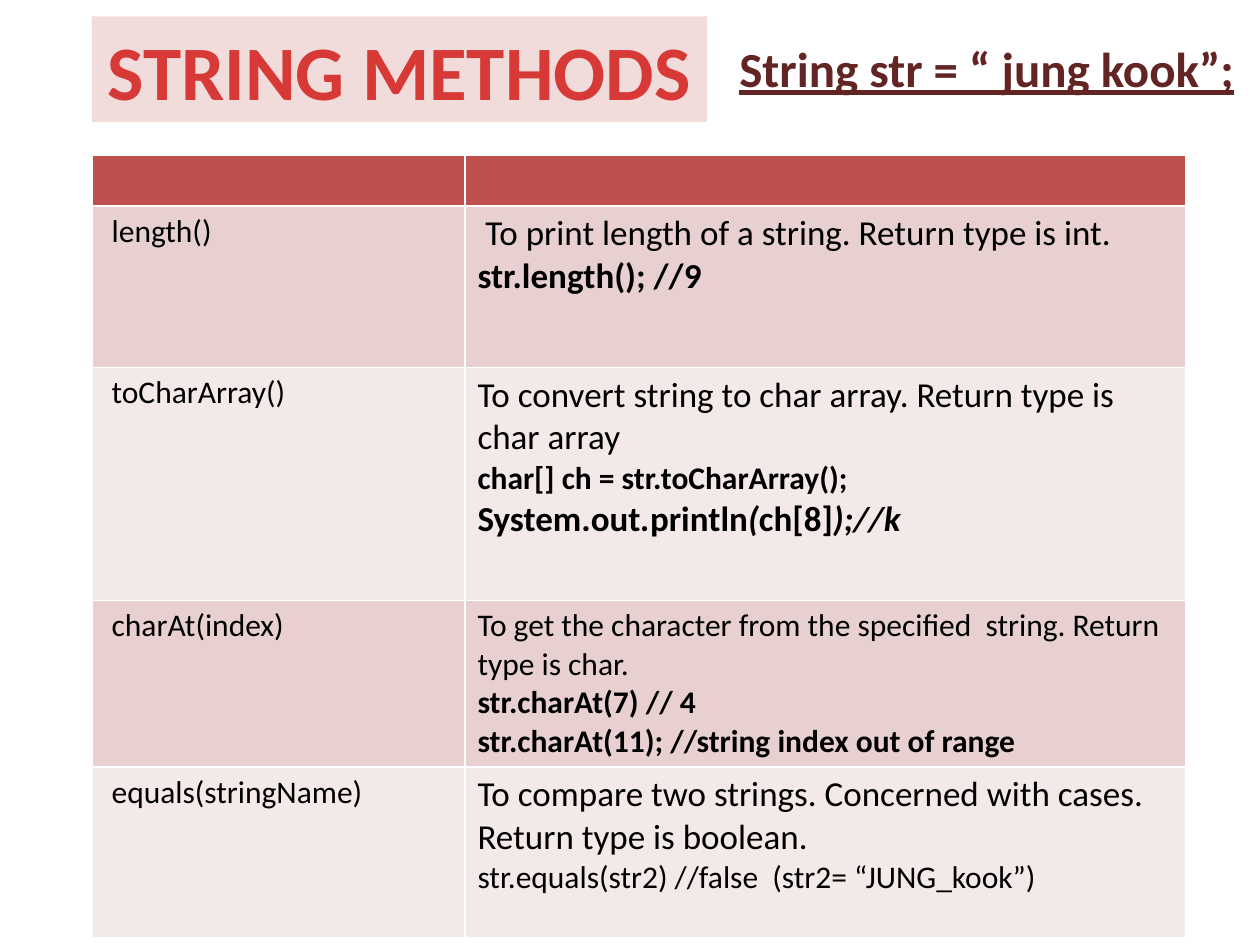
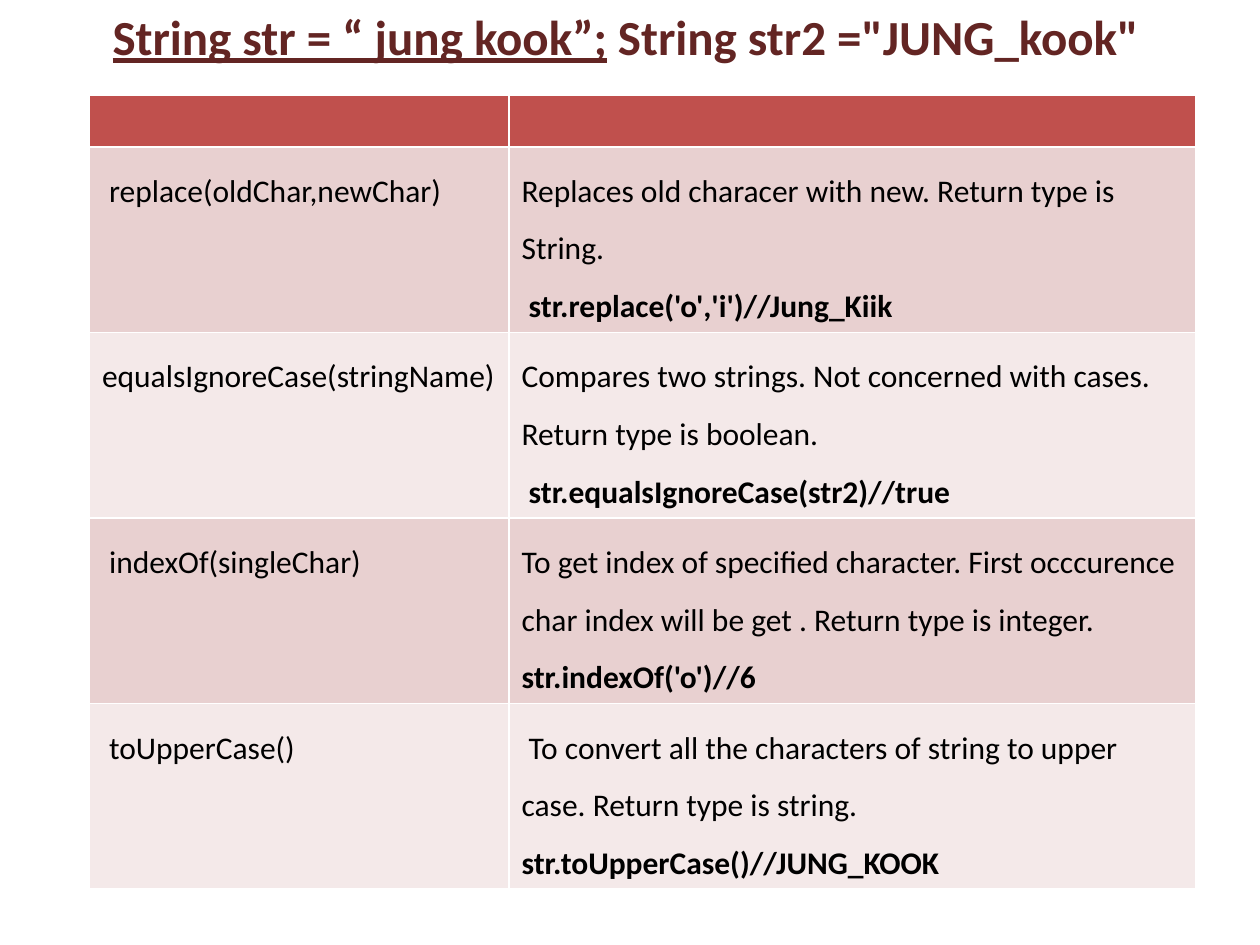
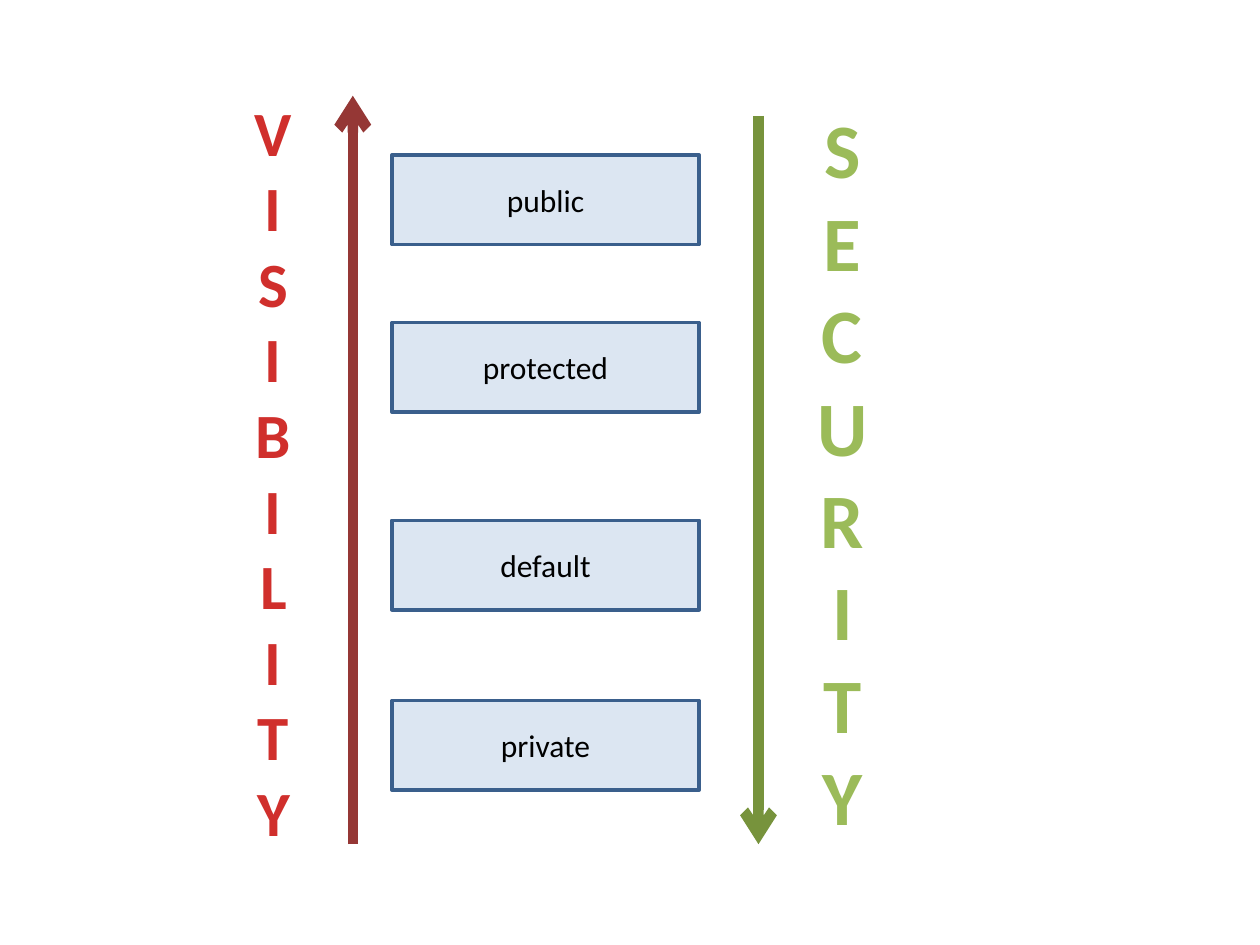
from lxml import etree
from pptx import Presentation
from pptx import util as u
from pptx.dml.color import RGBColor
from pptx.enum import shapes, text
from pptx.oxml.ns import qn

FONT = "Calibri"
COLOURS = {
    "title": "D73A36", "title band": "F2DCDB", "declaration": "632523",
    "header": "C0504D", "odd row": "E8D0D0", "even row": "F4E9E9",
    "text": "000000", "visibility": "D02F2C", "visibility arrow": "953735",
    "security": "9BBB59", "security arrow": "77933C",
    "level": "DCE6F2", "level line": "3A5F8C",
}
TITLE_ONLY, BLANK = 5, 6

# A line is a size and its spans; a span is a text and flags: b(old), i(talic), u(nderline).
DECLARATION = ("String str = “ jung kook”;", "bu")
BASIC_METHODS = [
    (" length()", [
        (20, [(" To print length of a string. Return type is int.", "")]),
        (20, [("str.length(); //9", "b")])]),
    (" toCharArray()", [
        (20, [("To convert string to char array. Return type is char array", "")]),
        (18, [("char[] ch = str.toCharArray();", "b")]),
        (20, [("System.out", "b"), (".", "bi"), ("println", "b"), ("(", "bi"),
              ("ch[8]", "b"), (");//k", "bi")])]),
    (" charAt(index)", [
        (18, [("To get the character from the specified  string. Return type is char.", "")]),
        (18, [("str.charAt(7) // 4", "b")]),
        (18, [("str.charAt(11); //string index out of range", "b")])]),
    (" equals(stringName)", [
        (20, [("To compare two strings. Concerned with cases. Return type is boolean.", "")]),
        (18, [("str.equals(str2) //false  (str2= “JUNG_kook”)", "")])]),
]
MORE_METHODS = [
    (" replace(oldChar,newChar)", [
        (18, [("Replaces old characer with new. Return type is String.", "")]),
        (18, [(" str.replace('o','i')//Jung_Kiik", "b")])]),
    ("equalsIgnoreCase(stringName)", [
        (18, [("Compares two strings. Not concerned with cases. Return type is boolean.", "")]),
        (18, [(" str.equalsIgnoreCase(str2)//true", "b")])]),
    (" indexOf(singleChar)", [
        (18, [("To get index of specified character. First occcurence char index "
               "will be get . Return type is integer.", "")]),
        (18, [("str.indexOf('o')//6", "b")])]),
    (" toUpperCase()", [
        (18, [(" To convert all the characters of string to upper case. "
               "Return type is string.", "")]),
        (18, [("str.toUpperCase()//JUNG_KOOK", "b")])]),
]
LEVELS = [("public", 1.23), ("protected", 2.56), ("default", 4.13), ("private", 5.56)]
# word, colour, size, box, arrow x, arrow start y, arrow end y
SCALES = [
    ("SECURITY", "security", 44, (6.38, 0.76, 0.61, 6.02), 6.02, 0.92, 6.7),
    ("VISIBILITY", "visibility", 36, (1.92, 0.69, 0.5, 6.16), 2.8, 6.7, 0.76),
]


def colour(name):
    return RGBColor.from_string(COLOURS[name])


def inches(*lengths):
    return [u.Inches(length) for length in lengths]


def fill(part, name):
    part.fill.solid()
    part.fill.fore_color.rgb = colour(name)


def write(frame, lines, colour_name="text", align=None, spacing=None):
    for index, (size, spans) in enumerate(lines):
        para = frame.paragraphs[0] if index == 0 else frame.add_paragraph()
        para.alignment = align
        para.line_spacing = spacing
        para.font.name = FONT
        para.font.size = u.Pt(size)
        para.font.color.rgb = colour(colour_name)
        for words, flags in spans:
            span = para.add_run()
            span.text = words
            span.font.bold = "b" in flags
            span.font.italic = "i" in flags
            span.font.underline = "u" in flags


def write_centred(shape, lines, colour_name="text", wrap=True):
    shape.text_frame.word_wrap = wrap
    shape.text_frame.auto_size = text.MSO_AUTO_SIZE.NONE
    write(shape.text_frame, lines, colour_name, text.PP_ALIGN.CENTER)


def add_title(page, box, lines, colour_name, wrap=True):
    title = page.shapes.title
    title.left, title.top, title.width, title.height = inches(*box)
    write_centred(title, lines, colour_name, wrap)
    return title


def add_methods(page, corner, widths, heights, methods, spacing=None):
    frame = page.shapes.add_table(len(heights), len(widths),
                                  *inches(*corner, sum(widths), sum(heights)))
    table = frame.table
    for column, width in zip(table.columns, widths):
        column.width = u.Inches(width)
    for index, (row, height) in enumerate(zip(table.rows, heights)):
        row.height = u.Inches(height)
        band = "header" if index == 0 else "odd row" if index % 2 else "even row"
        for cell in row.cells:
            fill(cell, band)
    for index, (name, lines) in enumerate(methods, 1):
        write(table.cell(index, 0).text_frame, [(18, [(name, "")])], spacing=spacing)
        write(table.cell(index, 1).text_frame, lines, spacing=spacing)


def add_arrow(page, x, start, end, colour_name):
    arrow = page.shapes.add_connector(shapes.MSO_CONNECTOR.STRAIGHT,
                                      *inches(x, start, x, end))
    arrow.line.color.rgb = colour(colour_name)
    arrow.line.width = u.Pt(6)
    etree.SubElement(arrow.line._get_or_add_ln(), qn("a:tailEnd"), type="arrow")
    etree.SubElement(arrow._element.spPr, qn("a:effectLst"))


def add_level(page, name, top):
    level = page.shapes.add_shape(shapes.MSO_SHAPE.RECTANGLE,
                                  *inches(3.11, top, 2.44, 0.71))
    level.shadow.inherit = False
    fill(level, "level")
    level.line.color.rgb = colour("level line")
    level.line.width = u.Pt(2)
    write_centred(level, [(18, [(name, "")])])


def basic_methods_page(deck):
    page = deck.slides.add_slide(deck.slide_layouts[TITLE_ONLY])
    title = add_title(page, (0.73, 0.13, 4.88, 0.84),
                      [(44, [("STRING METHODS", "b")])], "title", wrap=False)
    fill(title, "title band")
    add_methods(page, (0.73, 1.23), (2.96, 5.72), (0.4, 1.28, 1.85, 1.31, 1.36),
                BASIC_METHODS)
    declaration = page.shapes.add_textbox(*inches(4.21, 0.26, 7.24, 0.57))
    write_centred(declaration, [(28, [DECLARATION])], "declaration")


def more_methods_page(deck):
    page = deck.slides.add_slide(deck.slide_layouts[TITLE_ONLY])
    add_title(page, (0.75, 0, 8.43, 0.57),
              [(28, [DECLARATION, (" ", ""), ('String str2 ="JUNG_kook"', "b")])],
              "declaration")
    add_methods(page, (0.71, 0.76), (3.33, 5.45), [0.4] + [1.45] * 4,
                MORE_METHODS, spacing=1.5)


def access_levels_page(deck):
    page = deck.slides.add_slide(deck.slide_layouts[BLANK])
    for word, name, size, box, x, start, end in SCALES:
        letters = page.shapes.add_textbox(*inches(*box))
        write_centred(letters, [(size, [(letter, "b")]) for letter in word], name, wrap=False)
        add_arrow(page, x, start, end, f"{name} arrow")
    for name, top in LEVELS:
        add_level(page, name, top)


def main():
    deck = Presentation()
    deck.slide_width, deck.slide_height = inches(10, 7.5)
    basic_methods_page(deck)
    more_methods_page(deck)
    access_levels_page(deck)
    deck.save("out.pptx")


if __name__ == "__main__":
    main()
